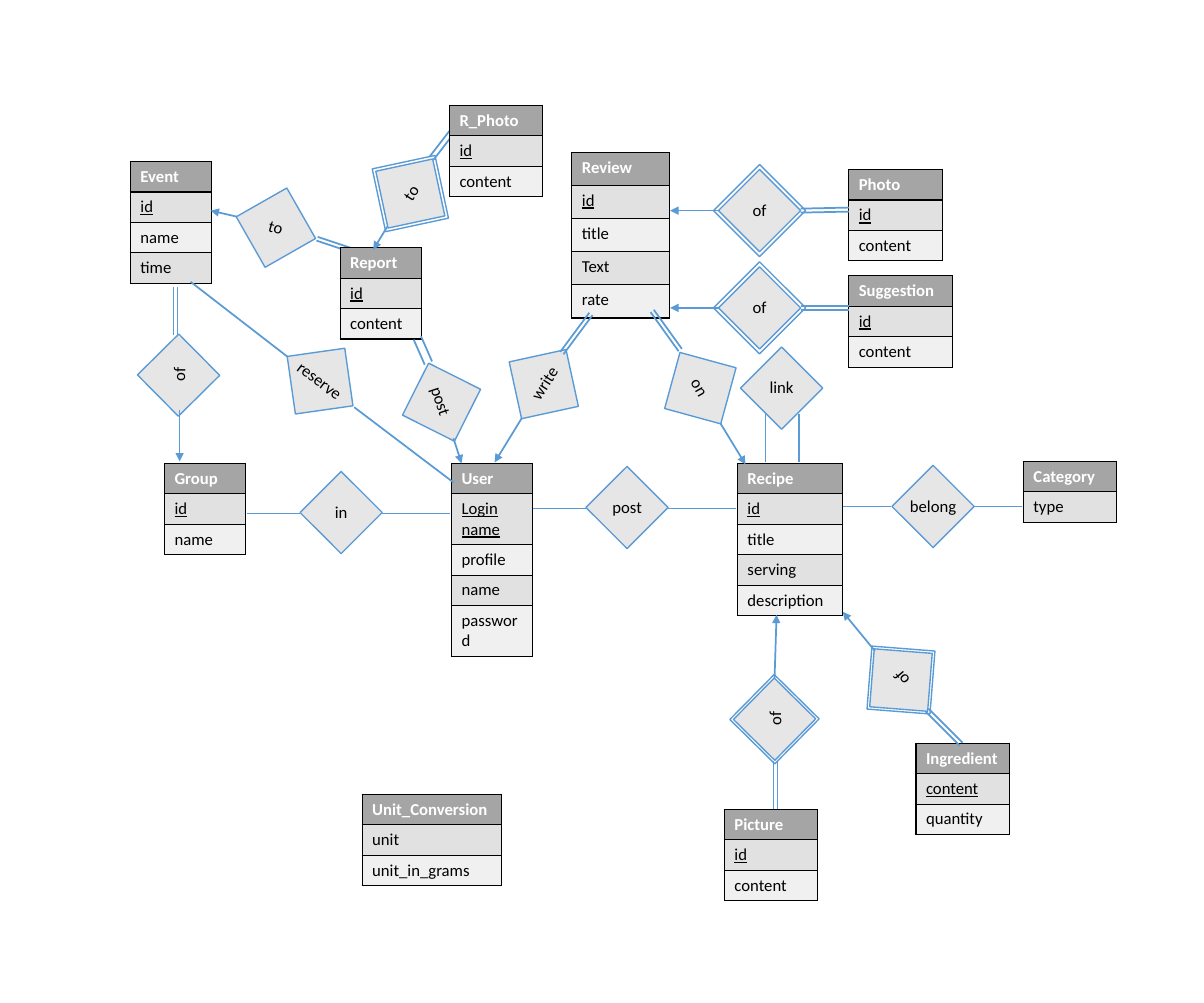
import math
import lxml.etree
import pptx
import pptx.dml.color
import pptx.enum.shapes
import pptx.enum.text
import pptx.oxml.ns
import pptx.util

PX = 9144  # EMU in one px, 100 px to the inch
SIZE = 1200, 1000
FONT = "Calibri"
BLUE, GRAY, BLACK, WHITE = "5B9BD5", "E7E6E6", "000000", "FFFFFF"
HEAD, BANDS = "A5A5A5", ("E1E1E1", "F0F0F0")
SIDE = 58  # inner side of a diamond
ROW = 30

# Entities: left, top, width, has key, names
TABLES = [
    (450, 462, 81, True, ["User", "Login name", "profile", "name", "password"]),
    (735, 462, 105, True, ["Recipe", "id", "title", "serving", "description"]),
    (1020, 460, 93, False, ["Category", "type"]),
    (722, 807, 93, True, ["Picture", "id", "content"]),
    (913, 741, 93, True, ["Ingredient", "content", "quantity"]),
    (570, 152, 97, True, ["Review", "id", "title", "Text", "rate"]),
    (846, 169, 93, True, ["Photo", "id", "content"]),
    (846, 275, 103, True, ["Suggestion", "id", "content"]),
    (164, 462, 81, True, ["Group", "id", "name"]),
    (130, 161, 81, True, ["Event", "id", "name", "time"]),
    (339, 247, 81, True, ["Report", "id", "content"]),
    (448, 105, 93, True, ["R_Photo", "id", "content"]),
    (361, 792, 139, False, ["Unit_Conversion", "unit", "unit_in_grams"]),
]
TALL = {"Login name": 50, "password": 50}  # rows of two lines
HIGH = {"Review": 33}  # tables with higher rows

# Relations: label, centre x, centre y, label angle, outer side (0 for none)
LINKS = [
    ("post", 625, 506, 0, 0),
    ("belong", 930, 505, 0, 0),
    ("link", 779, 387, 0, 0),
    ("of", 757, 307, 0, 65),
    ("of", 757, 210, 0, 65),
    ("of", 898, 678, 229.5, 63),
    ("of", 772, 717, 269.6, 63),
    ("write", 542, 383, 302.7, 0),
    ("on", 698, 387, 60.3, 0),
    ("reserve", 319, 380, 36.9, 0),
    ("of", 178, 374, 270.3, 0),
    ("in", 340, 511, 0, 0),
    ("to", 275, 227, 15.3, 0),
    ("post", 440, 401, 71.7, 0),
    ("to", 409, 193, 302.9, 64),
]

# Lines: from x, from y, to x, to y
PLAIN = [
    (531, 507, 585, 507), (666, 507, 734, 507),
    (840, 505, 888, 505), (971, 505, 1019, 505),
    (763, 413, 763, 461), (796, 413, 796, 461),
    (190, 281, 287, 356), (353, 406, 452, 481),
    (246, 512, 299, 512), (381, 512, 449, 512),
]
ARROWS = [
    (718, 307, 668, 307), (718, 210, 668, 210), (872, 649, 840, 610),
    (772, 677, 774, 613), (520, 417, 493, 461), (718, 422, 743, 463),
    (179, 409, 179, 460), (236, 216, 210, 210), (452, 437, 460, 462),
    (386, 226, 372, 249),
]
# Double lines, with the gap last
PAIRS = [
    (958, 742, 924, 708, 4), (773, 807, 773, 759, 4), (560, 352, 589, 313, 4),
    (678, 349, 650, 310, 4), (798, 307, 846, 307, 4), (798, 210, 846, 209, 4),
    (175, 334, 175, 286, 4), (427, 362, 416, 337, 8),
]
UNDER = [(316, 238, 361, 253, 4), (430, 158, 450, 132, 5)]  # run below tables

prs = pptx.Presentation()
prs.slide_width, prs.slide_height = (n * PX for n in SIZE)
shapes = prs.slides.add_slide(prs.slide_layouts[6]).shapes


def tint(hue):
    return pptx.dml.color.RGBColor.from_string(hue)


def emu(*nums):
    return [round(n * PX) for n in nums]


def style(par, hue, bold=False, line=False):
    font = par.runs[0].font
    font.name, font.size = FONT, pptx.util.Pt(12)
    font.bold, font.underline = bold, line
    font.color.rgb = tint(hue)


def sub(top, tag, **attrs):
    return lxml.etree.SubElement(top, pptx.oxml.ns.qn(tag), attrs)


def table(left, top, wide, keyed, names):
    highs = [TALL.get(name, HIGH.get(names[0], ROW)) for name in names]
    box = emu(left, top, wide, sum(highs))
    grid = shapes.add_table(len(names), 1, *box).table
    for row, (name, high) in enumerate(zip(names, highs)):
        grid.rows[row].height = emu(high)[0]
        cell = grid.cell(row, 0)
        for edge in "LRTB":
            line = sub(cell._tc.get_or_add_tcPr(), "a:ln" + edge, w="12700")
            sub(sub(line, "a:solidFill"), "a:srgbClr", val=BLACK)
        cell.fill.solid()
        cell.fill.fore_color.rgb = tint(BANDS[(row - 1) % 2] if row else HEAD)
        cell.text_frame.text = name
        style(cell.text_frame.paragraphs[0], BLACK if row else WHITE,
              row == 0, keyed and row == 1)


def square(x, y, side, turn, fill):
    box = emu(x - side / 2, y - side / 2, side, side)
    shape = shapes.add_shape(pptx.enum.shapes.MSO_SHAPE.RECTANGLE, *box)
    shape.shadow.inherit = False
    shape.rotation = turn + 45
    shape.line.color.rgb = tint(BLUE)
    shape.line.width = pptx.util.Pt(1)
    if fill:
        shape.fill.solid()
        shape.fill.fore_color.rgb = tint(fill)
    else:
        shape.fill.background()


def link(text, x, y, turn, outer):
    square(x, y, SIDE, turn, GRAY)
    if outer:
        square(x, y, outer, turn, None)
    label = shapes.add_textbox(*emu(x - 36, y - 16, 72, 30))
    label.rotation = turn
    frame = label.text_frame
    frame.word_wrap = False
    frame.vertical_anchor = pptx.enum.text.MSO_ANCHOR.MIDDLE
    frame.text = text
    par = frame.paragraphs[0]
    par.alignment = pptx.enum.text.PP_ALIGN.CENTER
    style(par, BLACK)


def line(*ends, arrow=False):
    kind = pptx.enum.shapes.MSO_CONNECTOR.STRAIGHT
    wire = shapes.add_connector(kind, *emu(*ends))
    wire.line.color.rgb = tint(BLUE)
    wire.line.width = pptx.util.Pt(1.25)
    if arrow:
        sub(wire.line._get_or_add_ln(), "a:tailEnd", type="triangle")
    sub(wire._element.spPr, "a:effectLst")


def pair(x1, y1, x2, y2, gap):
    span = math.hypot(x2 - x1, y2 - y1)
    for half in (-gap / 2, gap / 2):
        dx, dy = (y1 - y2) / span * half, (x2 - x1) / span * half
        line(x1 + dx, y1 + dy, x2 + dx, y2 + dy)


# Lines below the tables, then entities and relations
for item in UNDER:
    pair(*item)
for item in TABLES:
    table(*item)
for item in LINKS:
    link(*item)

# Lines on top
for item in PLAIN:
    line(*item)
for item in ARROWS:
    line(*item, arrow=True)
for item in PAIRS:
    pair(*item)

prs.save("out.pptx")
